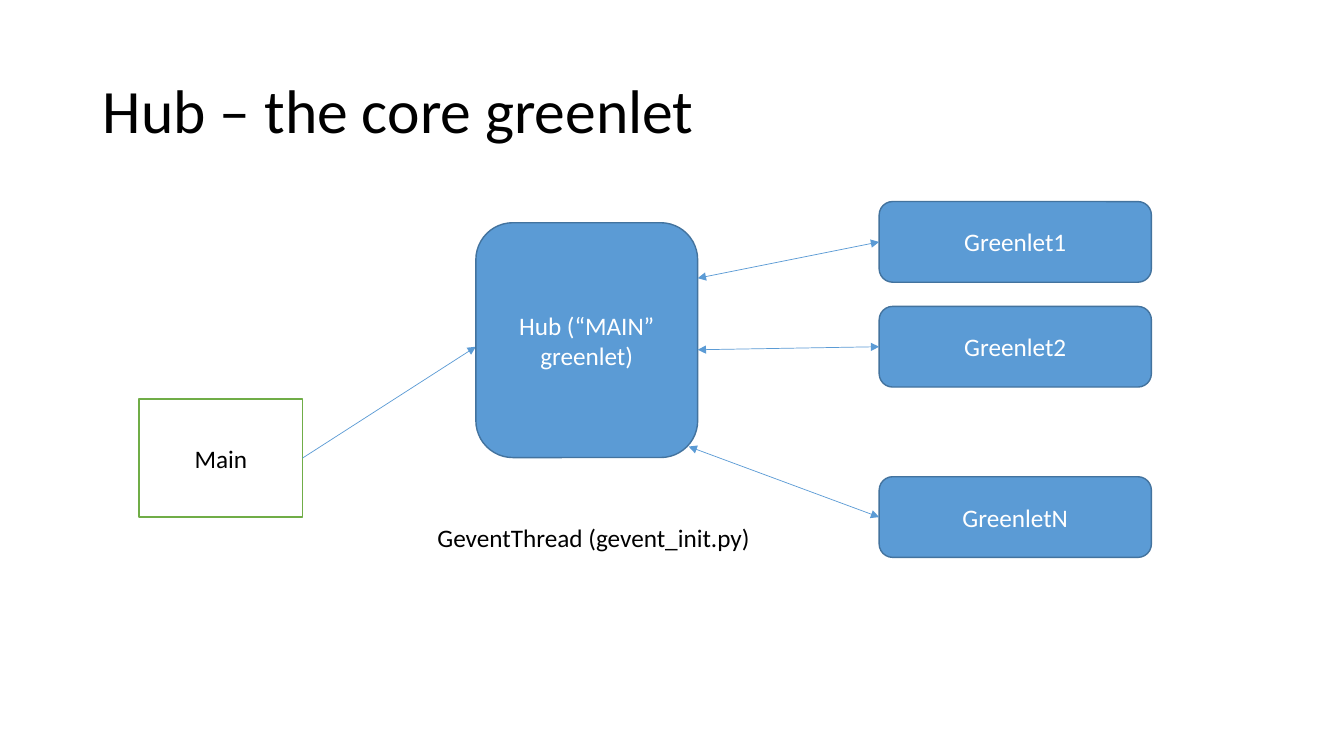
from lxml import etree
from pptx import Presentation
from pptx import util as u
from pptx.dml.color import RGBColor
from pptx.enum import shapes, text
from pptx.oxml.ns import qn

LEFT_SIDE, RIGHT_SIDE = 1, 3
BLUE, DARK_BLUE, GREEN = "5B9BD5", "43739E", "70AD47"
BLACK, WHITE = "000000", "FFFFFF"


def color(value):
    return RGBColor.from_string(value)


def write(frame, words, size, ink, align):
    frame.text = words
    frame.word_wrap = True
    paragraph = frame.paragraphs[0]
    paragraph.alignment = align
    font = paragraph.runs[0].font
    font.name = "Calibri"
    font.size = u.Pt(size)
    font.color.rgb = color(ink)
    return paragraph


def add_title(slide, words):
    title = slide.shapes.title
    title.left, title.top = u.Inches(0.92), u.Inches(0.4)
    title.width, title.height = u.Inches(11.5), u.Inches(1.45)
    heading = write(title.text_frame, words, 44, BLACK, text.PP_ALIGN.LEFT)
    heading.line_spacing = 0.9
    title.text_frame.auto_size = text.MSO_AUTO_SIZE.NONE
    title.text_frame.vertical_anchor = text.MSO_ANCHOR.MIDDLE


def add_node(slide, words, place, kind=shapes.MSO_SHAPE.ROUNDED_RECTANGLE,
             fill=BLUE, outline=DARK_BLUE, ink=WHITE):
    node = slide.shapes.add_shape(kind, *map(u.Inches, place))
    node.shadow.inherit = False
    node.fill.solid()
    node.fill.fore_color.rgb = color(fill)
    node.line.color.rgb = color(outline)
    node.line.width = u.Pt(1)
    write(node.text_frame, words, 18, ink, text.PP_ALIGN.CENTER)
    node.text_frame.vertical_anchor = text.MSO_ANCHOR.MIDDLE
    return node


def add_arrow(slide, start, end, arrowheads):
    arrow = slide.shapes.add_connector(
        shapes.MSO_CONNECTOR.STRAIGHT, *map(u.Inches, start + end))
    arrow.line.color.rgb = color(BLUE)
    arrow.line.width = u.Pt(0.5)
    outline = arrow.line._get_or_add_ln()
    for arrowhead in arrowheads:
        etree.SubElement(outline, qn(arrowhead)).set("type", "triangle")
    etree.SubElement(arrow._element.spPr, qn("a:effectLst"))
    return arrow


def add_caption(slide, words, place):
    caption = slide.shapes.add_textbox(*map(u.Inches, place))
    write(caption.text_frame, words, 18, BLACK, text.PP_ALIGN.LEFT)
    caption.text_frame.auto_size = text.MSO_AUTO_SIZE.SHAPE_TO_FIT_TEXT


def main():
    deck = Presentation()
    deck.slide_width, deck.slide_height = u.Inches(13.33), u.Inches(7.5)
    slide = deck.slides.add_slide(deck.slide_layouts[5])
    add_title(slide, "Hub – the core greenlet")

    main_box = add_node(slide, "Main", (1.38, 3.96, 1.62, 1.17),
                        shapes.MSO_SHAPE.RECTANGLE, WHITE, GREEN, BLACK)
    main_to_hub = add_arrow(slide, (3, 4.54), (4.72, 3.44), ["a:tailEnd"])
    main_to_hub.begin_connect(main_box, RIGHT_SIDE)
    add_node(slide, "Hub (“MAIN” greenlet)", (4.72, 2.21, 2.2, 2.33))

    greenlets = [
        ("Greenlet1", 2, (6.92, 2.76)),
        ("Greenlet2", 3.04, (6.92, 3.47)),
        ("GreenletN", 4.73, (6.83, 4.43)),
    ]
    for name, top, hub_point in greenlets:
        greenlet = add_node(slide, name, (8.72, top, 2.7, 0.8))
        hub_link = add_arrow(slide, hub_point, (8.72, top + 0.4),
                             ["a:headEnd", "a:tailEnd"])
        hub_link.end_connect(greenlet, LEFT_SIDE)

    add_caption(slide, "GeventThread (gevent_init.py)", (4.24, 5.13, 3.34, 0.4))
    deck.save("out.pptx")


if __name__ == "__main__":
    main()
